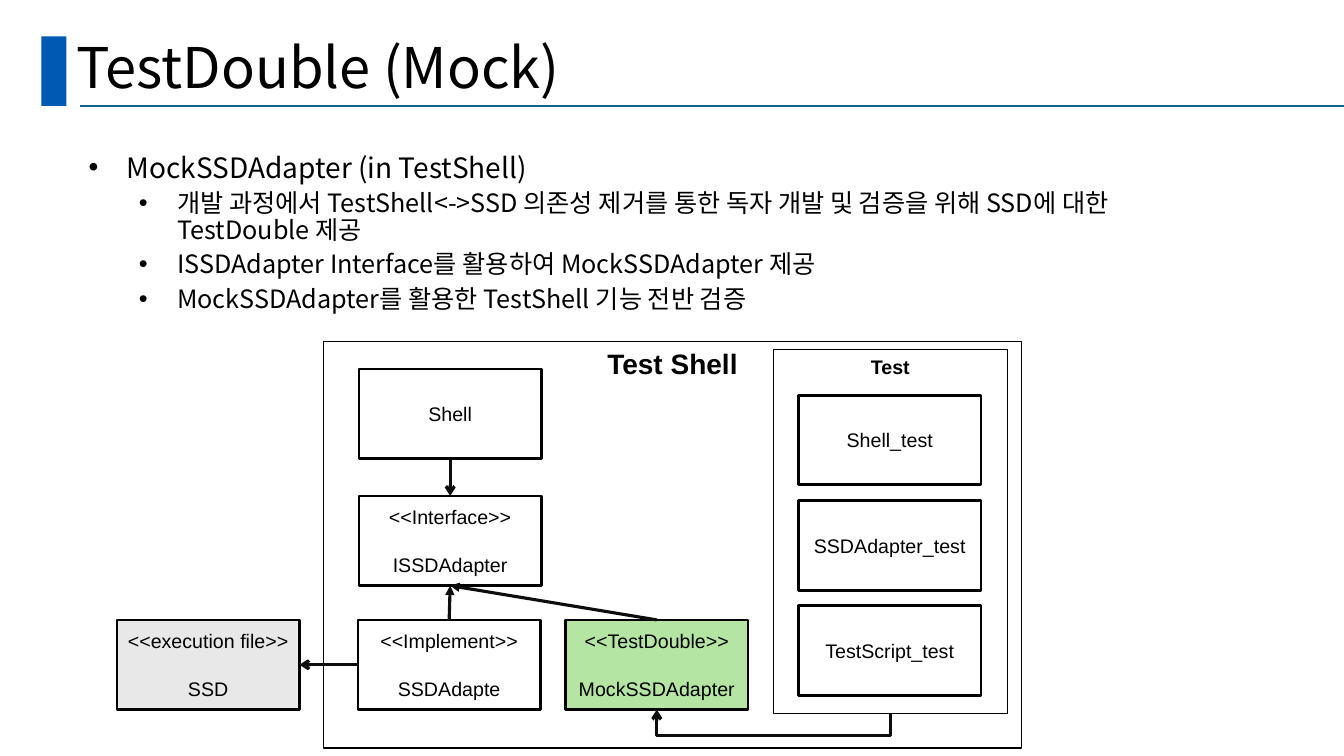
"""Build the TestDouble (Mock) slide with its class diagram."""
from lxml import etree
from pptx import Presentation
from pptx.dml.color import RGBColor
from pptx.enum.shapes import MSO_CONNECTOR, MSO_SHAPE
from pptx.enum.text import MSO_ANCHOR, PP_ALIGN
from pptx.oxml.ns import qn
from pptx.util import Inches, Pt

RECTANGLE = MSO_SHAPE.RECTANGLE
STRAIGHT, ELBOW = MSO_CONNECTOR.STRAIGHT, MSO_CONNECTOR.ELBOW
TOP, MIDDLE = MSO_ANCHOR.TOP, MSO_ANCHOR.MIDDLE
LEFT, CENTER = PP_ALIGN.LEFT, PP_ALIGN.CENTER
UP_SIDE, LEFT_SIDE, DOWN_SIDE, RIGHT_SIDE = range(4)

HEADING_FONT, DIAGRAM_FONT = "Noto Sans CJK KR", "Arial"
BLACK, ARROW_COLOR = "000000", "0D0D0D"

TITLE = "TestDouble (Mock)"
TOPIC = "MockSSDAdapter (in TestShell)"
POINTS = [
    "개발 과정에서 TestShell<->SSD 의존성 제거를 통한 독자 개발 및 검증을 위해 SSD에 대한 TestDouble 제공",
    "ISSDAdapter Interface를 활용하여 MockSSDAdapter 제공",
    "MockSSDAdapter를 활용한 TestShell 기능 전반 검증",
]
FRAMES = [
    ("Test Shell", (3.21, 3.39, 6.92, 4.03), 20),
    ("Test", (7.67, 3.47, 2.32, 3.61), 14),
]
BOX_WIDTH, BOX_HEIGHT = 1.81, 0.89
ADAPTER_TOP = 6.15
CLASSES = {
    "shell": (["Shell"], 3.56, 3.66, None),
    "interface": (["<<Interface>>", "ISSDAdapter"], 3.56, 4.92, None),
    "mock": (["<<TestDouble>>", "MockSSDAdapter"], 5.61, ADAPTER_TOP, "B4E5A2"),
    "adapter": (["<<Implement>>", "SSDAdapte"], 3.55, ADAPTER_TOP, None),
    "ssd": (["<<execution file>>", "SSD"], 1.16, ADAPTER_TOP, "E8E8E8"),
}
TESTS = ["Shell_test", "SSDAdapter_test", "TestScript_test"]
TEST_LEFT, TEST_TOP, TEST_STEP = 7.92, 3.92, 1.045
ARROWS = [
    ("shell", DOWN_SIDE, "interface", UP_SIDE, "arrow"),
    ("mock", UP_SIDE, "interface", DOWN_SIDE, "triangle"),
    ("adapter", UP_SIDE, "interface", DOWN_SIDE, "triangle"),
    ("adapter", LEFT_SIDE, "ssd", RIGHT_SIDE, "arrow"),
]
ELBOW_DROP = 0.22


def color(value):
    return RGBColor.from_string(value)


def write(para, text, size, font=DIAGRAM_FONT, bold=False, align=LEFT,
          before=0, spacing=None, indent=None):
    para.alignment = align
    para.space_before = Pt(before)
    if spacing:
        para.line_spacing = spacing
    span = para.add_run()
    span.text = text
    span.font.size, span.font.name, span.font.bold = Pt(size), font, bold
    span.font.color.rgb = color(BLACK)
    etree.SubElement(span.font._element, qn("a:ea"), typeface=font)
    if indent:
        properties = para._p.get_or_add_pPr()
        properties.set("marL", str(Inches(indent)))
        properties.set("indent", str(Inches(-0.38)))
        etree.SubElement(properties, qn("a:buFont"), typeface="Arial")
        etree.SubElement(properties, qn("a:buChar"), char="•")


def add_text_box(page, place, anchor):
    frame = page.shapes.add_textbox(*map(Inches, place)).text_frame
    frame.word_wrap = True
    frame.vertical_anchor = anchor
    return frame


def add_box(page, place, lines=(), fill=None, line=None, size=14,
            anchor=MIDDLE, bold=False):
    box = page.shapes.add_shape(RECTANGLE, *map(Inches, place))
    box.shadow.inherit = False
    if fill:
        box.fill.solid()
        box.fill.fore_color.rgb = color(fill)
    else:
        box.fill.background()
    if line:
        box.line.color.rgb = color(BLACK)
        box.line.width = Pt(line)
    else:
        box.line.fill.background()
    frame = box.text_frame
    frame.vertical_anchor = anchor
    for index, text in enumerate(lines):
        para = frame.add_paragraph() if index else frame.paragraphs[0]
        write(para, text, size, bold=bold, align=CENTER, before=17 if index else 0)
    return box


def add_line(page, kind, ends, line_color, width, tip=None):
    line = page.shapes.add_connector(kind, *map(Inches, ends))
    line.line.color.rgb = color(line_color)
    line.line.width = Pt(width)
    if tip:
        etree.SubElement(line.line._get_or_add_ln(), qn("a:tailEnd"), type=tip)
    etree.SubElement(line._element.spPr, qn("a:effectLst"))
    return line


def add_elbow_below(page, begin, end):
    """Route an arrow from one box's bottom under and up to another's."""
    start_x, start_y = begin.left + begin.width // 2, begin.top + begin.height
    end_x, end_y = end.left + end.width // 2, end.top + end.height
    span, rise = start_x - end_x, start_y - end_y
    line = add_line(page, ELBOW, (0, 0, 1, 1), ARROW_COLOR, 2.25, "arrow")
    line.begin_connect(begin, DOWN_SIDE)
    line.end_connect(end, DOWN_SIDE)
    line.left = (start_x + end_x - rise) // 2
    line.top = (start_y + end_y - span) // 2
    line.width, line.height = rise, span
    transform = line._element.spPr.find(qn("a:xfrm"))
    transform.attrib.pop("flipV", None)
    transform.set("rot", str(90 * 60000))
    transform.set("flipH", "1")
    geometry = line._element.spPr.find(qn("a:prstGeom"))
    guides = geometry.find(qn("a:avLst"))
    if guides is None:
        guides = etree.SubElement(geometry, qn("a:avLst"))
    bend = round(-Inches(ELBOW_DROP) / rise * 100000)
    etree.SubElement(guides, qn("a:gd"), name="adj1", fmla=f"val {bend}")


def main():
    deck = Presentation()
    deck.slide_width, deck.slide_height = Inches(13.33), Inches(7.5)
    page = deck.slides.add_slide(deck.slide_layouts[6])

    add_box(page, (0.41, 0.36, 0.25, 0.69), fill="005AB4")
    add_line(page, STRAIGHT, (0.79, 1.05, 13.33, 1.05), "156082", 1.5)
    title = add_text_box(page, (0.66, 0.34, 11.5, 0.71), MIDDLE)
    write(title.paragraphs[0], TITLE, 40, HEADING_FONT, spacing=0.9)

    body = add_text_box(page, (0.66, 1.44, 11.5, 5.39), TOP)
    write(body.paragraphs[0], TOPIC, 20, HEADING_FONT, before=10, indent=0.5)
    for point in POINTS:
        write(body.add_paragraph(), point, 18, HEADING_FONT, before=5,
              spacing=0.9, indent=1)

    frames = {name: add_box(page, place, [name], line=1, size=size, anchor=TOP, bold=True)
              for name, place, size in FRAMES}
    boxes = {name: add_box(page, (left, top, BOX_WIDTH, BOX_HEIGHT), lines, fill, line=2)
             for name, (lines, left, top, fill) in CLASSES.items()}
    for row, name in enumerate(TESTS):
        place = (TEST_LEFT, TEST_TOP + row * TEST_STEP, BOX_WIDTH, BOX_HEIGHT)
        add_box(page, place, [name], line=2)

    for source, source_side, target, target_side, tip in ARROWS:
        arrow = add_line(page, STRAIGHT, (0, 0, 1, 1), ARROW_COLOR, 2.25, tip)
        arrow.begin_connect(boxes[source], source_side)
        arrow.end_connect(boxes[target], target_side)
    add_elbow_below(page, frames["Test"], boxes["mock"])

    deck.save("out.pptx")


if __name__ == "__main__":
    main()
